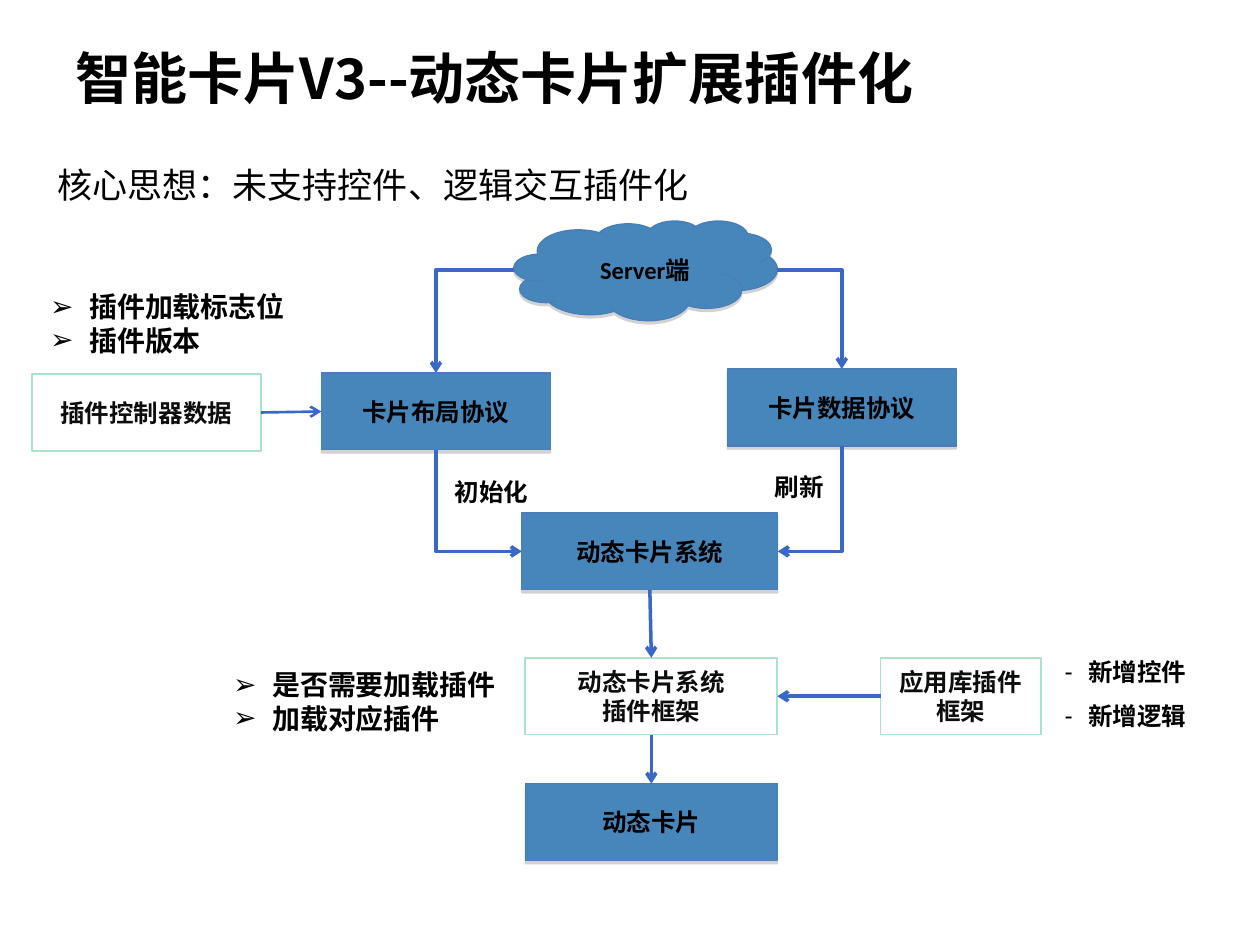
import lxml.etree
import pptx
import pptx.dml.color
import pptx.enum.shapes
import pptx.enum.text
import pptx.oxml.ns
import pptx.util

Cm, Pt = pptx.util.Cm, pptx.util.Pt
qn = pptx.oxml.ns.qn
hue = pptx.dml.color.RGBColor.from_string
kinds = pptx.enum.shapes.MSO_SHAPE
links = pptx.enum.shapes.MSO_CONNECTOR
aligns = pptx.enum.text.PP_ALIGN
anchors = pptx.enum.text.MSO_ANCHOR
sizes = pptx.enum.text.MSO_AUTO_SIZE
sub = lxml.etree.SubElement

SANS = "Noto Sans CJK SC"
BLACK = "000000"


def write(shape, text, size, face, color=BLACK, bold=True, mark=None, indent=0):
    """Fill a shape with text; mark is an optional bullet with a hanging indent."""
    frame = shape.text_frame
    frame.text = text
    for para in frame.paragraphs:
        if mark:
            props = para._p.get_or_add_pPr()
            props.set("marL", str(Cm(indent)))
            props.set("indent", str(-Cm(indent)))
            sub(sub(props, qn("a:buClr")), qn("a:srgbClr"), val=BLACK)
            sub(props, qn("a:buFont"), typeface="Arial")
            sub(props, qn("a:buChar"), char=mark)
        for run in para.runs:
            run.font.size = Pt(size)
            run.font.bold = bold
            run.font.color.rgb = hue(color)
            run.font.name = face
            sub(run._r.get_or_add_rPr(), qn("a:ea"), typeface=SANS)


def arrow(kind, start, end, width=2):
    """Add a connector from start to end with an open arrowhead at its end."""
    link = slide.shapes.add_connector(kind, *start, *end)
    link.line.color.rgb = hue("3968C7")
    link.line.width = Pt(width)
    sub(link.line._get_or_add_ln(), qn("a:tailEnd"), type="arrow")
    sub(link._element.spPr, qn("a:effectLst"))
    return link


deck = pptx.Presentation()
deck.slide_width, deck.slide_height = Cm(25.4), Cm(19.05)
slide = deck.slides.add_slide(deck.slide_layouts[6])

# Text boxes: place, text, size, face, bold, bullet, indent, line spacing, wrap
notes = [
    ((1.27, 0.76, 22.86, 1.57), "智能卡片V3--动态卡片扩展插件化", 32, SANS, True, None, 0, None, True),
    ((0.91, 3.18, 13.23, 1.12), "核心思想：未支持控件、逻辑交互插件化", 20, SANS, False, None, 0, None, False),
    ((21.21, 12.83, 3.73, 2.03), "新增控件\n新增逻辑", 14, SANS, True, "-", 0.48, 1.5, True),
    ((8.92, 9.5, 2.1, 0.86), "初始化", 14, "Arial", True, None, 0, None, False),
    ((15.37, 9.4, 1.55, 0.86), "刷新", 14, "Arial", True, None, 0, None, False),
    ((0.76, 5.72, 5.4, 1.63), "插件加载标志位\n插件版本", 16, SANS, True, "➢", 0.79, None, False),
    ((4.45, 13.34, 6, 1.63), "是否需要加载插件\n加载对应插件", 16, SANS, True, "➢", 0.79, None, False),
]
for place, text, size, face, bold, mark, indent, space, wrap in notes:
    box = slide.shapes.add_textbox(*map(Cm, place))
    box.text_frame.word_wrap = wrap
    if not wrap:
        box.text_frame.auto_size = sizes.SHAPE_TO_FIT_TEXT
    write(box, text, size, face, bold=bold, mark=mark, indent=indent)
    if size == 32:
        box.text_frame.vertical_anchor = anchors.MIDDLE
    if space:
        for para in box.text_frame.paragraphs:
            para.line_spacing = space

# Nodes: name, left, top, width, text, solid blue or outlined
nodes = [
    ("cloud", 10.36, 4.45, 5.31, "Server端", True),
    ("system", 10.52, 10.34, 5.16, "动态卡片系统", True),
    ("plugin", 10.59, 13.26, 5.08, "动态卡片系统\n插件框架", False),
    ("app", 17.75, 13.26, 3.23, "应用库插件框架", False),
    ("card", 10.59, 15.8, 5.08, "动态卡片", True),
    ("layout", 6.48, 7.52, 4.62, "卡片布局协议", True),
    ("data", 14.66, 7.44, 4.62, "卡片数据协议", True),
    ("control", 0.64, 7.54, 4.62, "插件控制器数据", False),
]
node = {}
for name, left, top, width, text, solid in nodes:
    cloud = name == "cloud"
    shape = slide.shapes.add_shape(
        kinds.CLOUD if cloud else kinds.RECTANGLE,
        Cm(left), Cm(top), Cm(width), Cm(2.01 if cloud else 1.55))
    node[name] = shape
    shape.fill.solid()
    shape.fill.fore_color.rgb = hue("4686BA" if solid else "FFFFFF")
    shape.line.color.rgb = hue("4A7EBB" if solid else "AAE2CA")
    shape.line.width = Pt(0.75 if solid else 1)
    shape.shadow.inherit = False
    if solid:
        effects = shape._element.spPr.find(qn("a:effectLst"))
        shade = sub(effects, qn("a:outerShdw"), blurRad="0", dist=str(Pt(1.8)),
                    dir="5400000", rotWithShape="0")
        tint = sub(shade, qn("a:srgbClr"), val="808080")
        sub(tint, qn("a:alpha"), val="34000")
    write(shape, text, 14, "Calibri", BLACK if solid else "0D0D0D")
    shape.text_frame.word_wrap = True
    shape.text_frame.vertical_anchor = anchors.MIDDLE
    for para in shape.text_frame.paragraphs:
        para.alignment = aligns.CENTER

# The cloud's text area sits off centre; the insets bring it back.
cloud, system = node["cloud"], node["system"]
cloud.text_frame.margin_left = Cm(0.61)
cloud.text_frame.margin_top = Cm(0.2)

# Straight arrows: from, side, to, side, width
for first, out, last, into, width in [
    ("system", 2, "plugin", 0, 2),
    ("plugin", 2, "card", 0, 2),
    ("app", 1, "plugin", 3, 2),
    ("control", 3, "layout", 1, 1.5),
]:
    link = arrow(links.STRAIGHT, (0, 0), (0, 0), width)
    link.begin_connect(node[first], out)
    link.end_connect(node[last], into)

# Each branch leaves the cloud sideways, drops to a protocol box,
# then drops again and turns in to the system box.
for name, side in (("layout", 0), ("data", 1)):
    box = node[name]
    mid = box.left + box.width // 2
    drop = (cloud.left + cloud.width * side, Cm(5.44))
    bends = [arrow(links.ELBOW, drop, (mid, box.top))]

    # Down-then-across is a quarter turn of the across-then-down bend.
    edge = system.left + system.width * side
    low, high = system.top + system.height // 2, box.top + box.height
    wide, tall = abs(edge - mid) // 2, (low - high) // 2
    x, y = (mid + edge) // 2, (low + high) // 2
    turn = tall if side else -tall
    bend = arrow(links.ELBOW, (x - turn, y - wide), (x + turn, y + wide))
    bend._element.spPr.find(qn("a:xfrm")).set("rot", "5400000" if side else "16200000")
    bends.append(bend)
    for bend in bends:
        bend._element.spPr.find(qn("a:prstGeom")).set("prst", "bentConnector2")

deck.save("out.pptx")
